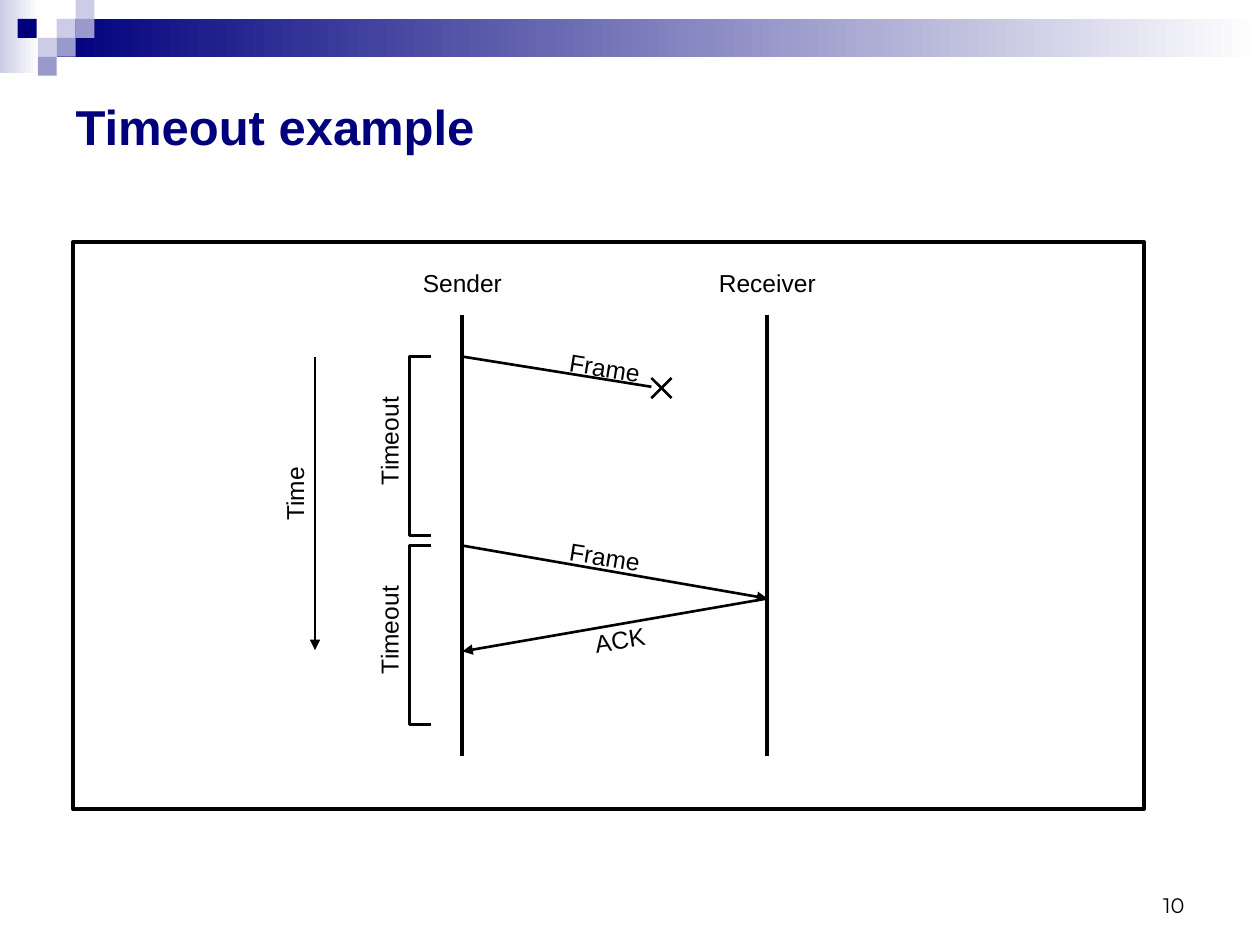
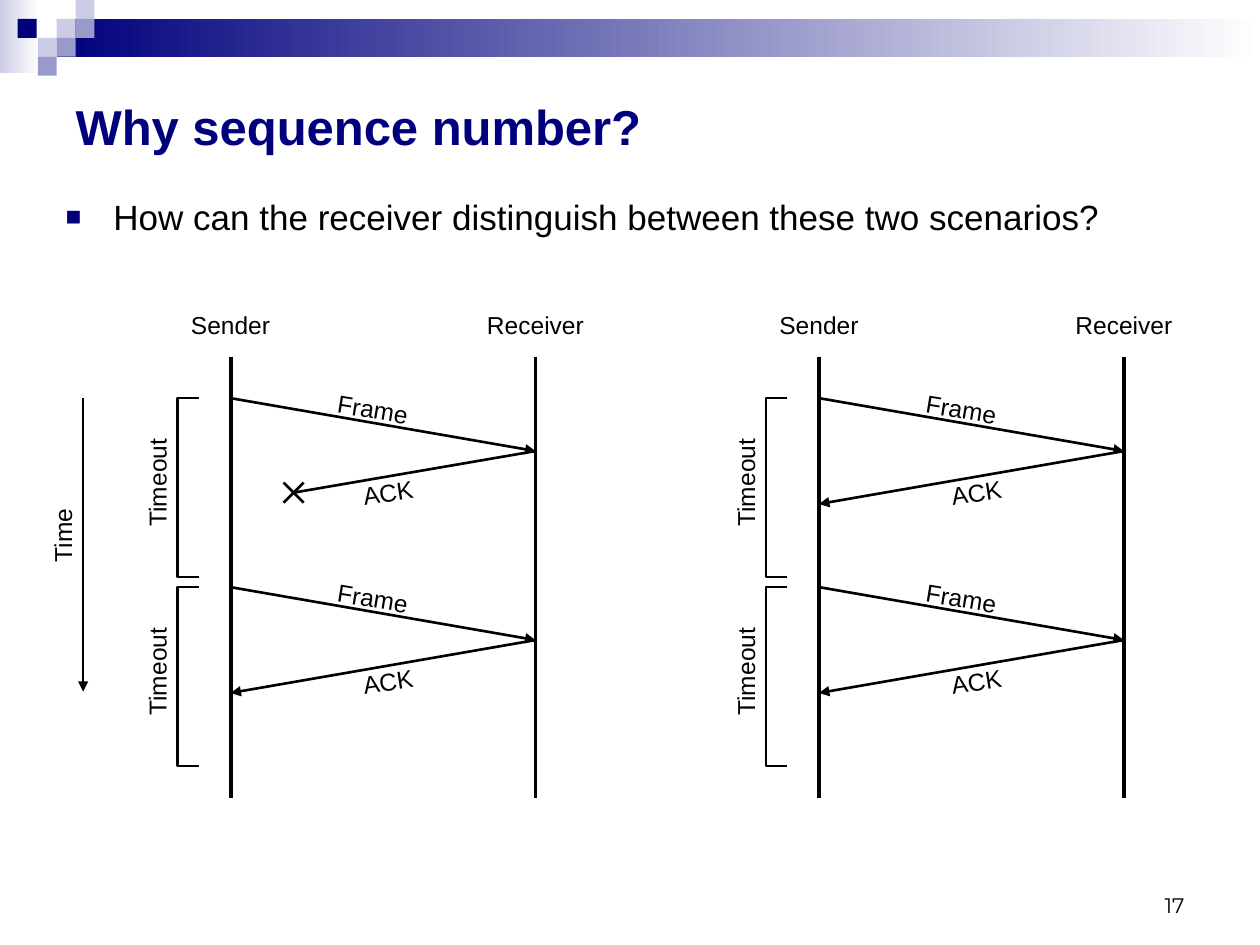
from lxml import etree
from pptx import Presentation
from pptx.dml.color import RGBColor
from pptx.enum.shapes import MSO_CONNECTOR, MSO_SHAPE
from pptx.enum.text import MSO_ANCHOR, MSO_AUTO_SIZE, PP_ALIGN
from pptx.oxml.ns import qn
from pptx.util import Inches, Pt

STRAIGHT = MSO_CONNECTOR.STRAIGHT
RECTANGLE = MSO_SHAPE.RECTANGLE
LEFT, CENTER, RIGHT = PP_ALIGN.LEFT, PP_ALIGN.CENTER, PP_ALIGN.RIGHT
TOP, MIDDLE, BOTTOM = MSO_ANCHOR.TOP, MSO_ANCHOR.MIDDLE, MSO_ANCHOR.BOTTOM
NO_AUTOFIT = MSO_AUTO_SIZE.NONE
TITLE_AND_CONTENT, TITLE_ONLY = 1, 5

COLORS = {
    "navy": "00007D",
    "violet": "9999CC",
    "lavender": "CCCCE6",
    "white": "FFFFFF",
    "black": "000000",
}
TITLE_FONT = {"name": "Arial", "size": Pt(28), "bold": True}
BODY_FONT = {"name": "Arial", "size": Pt(20)}
LABEL_FONT = {"name": "Arial", "size": Pt(14)}
NUMBER_FONT = {"name": "Montserrat", "size": Pt(12)}

THIN, THICK = 1.5, 2.25
TILE = 0.15
TILES = [
    (0.45, 0.15, "lavender"),
    (0.6, 0, "lavender"),
    (0.6, 0.15, "violet"),
    (0.3, 0.3, "lavender"),
    (0.14, 0.15, "navy"),
    (0.45, 0.3, "violet"),
    (0.3, 0.45, "violet"),
]

# Diagram measures, in inches
RECEIVER_GAP = 2.42
LIFELINE_LENGTH = 3.5
FIRST_SEND, SEND_STEP = 0.33, 1.5
ARRIVAL = 0.42
TIMEOUT_LENGTH = 1.42
LABEL_HEIGHT = 0.34


def rgb(color):
    return RGBColor.from_string(COLORS[color])


def write(frame, text, font, color="black", align=LEFT, anchor=TOP):
    """Put one formatted paragraph into a text frame and return it."""
    frame.word_wrap = True
    frame.auto_size = NO_AUTOFIT
    frame.vertical_anchor = anchor
    para = frame.paragraphs[0]
    para.alignment = align
    span = para.add_run()
    span.text = text
    for name, value in font.items():
        setattr(span.font, name, value)
    span.font.color.rgb = rgb(color)
    return para


def move(shape, left, top, width, height):
    places = {"left": left, "top": top, "width": width, "height": height}
    for name, value in places.items():
        setattr(shape, name, Inches(value))


def add_rectangle(page, left, top, width, height):
    box = page.shapes.add_shape(
        RECTANGLE, Inches(left), Inches(top), Inches(width), Inches(height))
    box.shadow.inherit = False
    box.line.fill.background()
    return box


def add_solid(page, left, top, width, height, color):
    box = add_rectangle(page, left, top, width, height)
    box.fill.solid()
    box.fill.fore_color.rgb = rgb(color)
    return box


def add_fade(page, left, top, width, height, color):
    """Add a band that fades to white from left to right."""
    band = add_rectangle(page, left, top, width, height)
    band.fill.gradient()
    band.fill.gradient_angle = 0
    for stop, name in zip(band.fill.gradient_stops, (color, "white")):
        stop.color.rgb = rgb(name)


def style_line(line, weight):
    line.color.rgb = rgb("black")
    line.width = Pt(weight)


def add_line(page, start, end, weight=THIN, arrow=False):
    line = page.shapes.add_connector(
        STRAIGHT, *(Inches(value) for value in (*start, *end)))
    style_line(line.line, weight)
    properties = line._element.spPr
    if arrow:
        outline = properties.find(qn("a:ln"))
        etree.SubElement(outline, qn("a:tailEnd"), type="triangle")
    etree.SubElement(properties, qn("a:effectLst"))


def add_label(page, text, left, top, width=1.5, rotation=0):
    label = page.shapes.add_textbox(
        Inches(left), Inches(top), Inches(width), Inches(LABEL_HEIGHT))
    label.rotation = rotation
    write(label.text_frame, text, LABEL_FONT, align=CENTER)


def add_page(deck, layout, title, number):
    page = deck.slides.add_slide(deck.slide_layouts[layout])
    add_fade(page, 0, 0, 0.31, 0.58, "lavender")
    add_fade(page, 0.45, 0.15, 9.55, 0.3, "navy")
    for left, top, color in TILES:
        add_solid(page, left, top, TILE, TILE, color)
    move(page.shapes.title, 0.5, 0.5, 9, 1)
    write(page.shapes.title.text_frame, title, TITLE_FONT, "navy", anchor=MIDDLE)
    box = page.shapes.add_textbox(
        Inches(7.17), Inches(6.83), Inches(2.33), Inches(0.5))
    write(box.text_frame, str(number), NUMBER_FONT, align=RIGHT, anchor=BOTTOM)
    return page


def add_bullet(page, text):
    body = page.placeholders[1]
    move(body, 0.42, 1.5, 9, 0.67)
    para = write(body.text_frame, text, BODY_FONT)
    para.space_before = Pt(5)
    properties = para._p.get_or_add_pPr()
    properties.set("marL", str(Inches(0.38)))
    properties.set("indent", str(-Inches(0.38)))
    color = etree.SubElement(properties, qn("a:buClr"))
    etree.SubElement(color, qn("a:srgbClr"), val=COLORS["navy"])
    etree.SubElement(properties, qn("a:buSzPct"), val="75000")
    etree.SubElement(properties, qn("a:buFont"), typeface="Arial")
    etree.SubElement(properties, qn("a:buChar"), char="■")


def add_cross(page, x, y, reach=0.08):
    """Mark a lost message with a cross centred on x, y."""
    for rise in (-reach, reach):
        add_line(page, (x - reach, y + rise), (x + reach, y - rise))


def add_lifelines(page, sender, top):
    for name, x in (("Sender", sender), ("Receiver", sender + RECEIVER_GAP)):
        add_line(page, (x, top), (x, top + LIFELINE_LENGTH), THICK)
        add_label(page, name, x - 0.75, top - 0.42)


def add_time_arrow(page, sender, top):
    x, y = sender - 1.17, top + FIRST_SEND
    add_line(page, (x, y), (x, y + 2.33), arrow=True)
    add_label(page, "Time", x - 0.91, y + 0.92, rotation=270)


def add_timeout(page, sender, y):
    near, far, end = sender - 0.25, sender - 0.42, y + TIMEOUT_LENGTH
    builder = page.shapes.build_freeform(Inches(near), Inches(y))
    corners = [(far, y), (far, end), (near, end)]
    builder.add_line_segments(
        [(Inches(x), Inches(height)) for x, height in corners], close=False)
    bracket = builder.convert_to_shape()
    bracket.shadow.inherit = False
    bracket.fill.background()
    style_line(bracket.line, THIN)
    add_label(page, "Timeout", sender - 1.33, y + 0.5, rotation=270)


def add_frame(page, sender, y, lost):
    if lost:
        add_line(page, (sender, y), (sender + 1.5, y + 0.24))
        add_cross(page, sender + 1.58, y + 0.25)
    else:
        add_line(page, (sender, y), (sender + RECEIVER_GAP, y + ARRIVAL), arrow=True)
    add_label(page, "Frame", sender + 0.42, y - 0.08, 1.42, 9.2)


def add_ack(page, sender, y, lost):
    start = (sender + RECEIVER_GAP, y + ARRIVAL)
    if lost:
        end = (sender + 0.5, y + 0.75)
        add_line(page, start, end)
        add_cross(page, *end)
    else:
        add_line(page, start, (sender, y + 2 * ARRIVAL), arrow=True)
    add_label(page, "ACK", sender + 0.5, y + 0.58, rotation=351.1)


def add_exchange(page, sender, top, lost=None):
    """Draw two sends; lost names the message that fails in the first."""
    add_lifelines(page, sender, top)
    for turn, failure in enumerate((lost, None)):
        y = top + FIRST_SEND + turn * SEND_STEP
        add_timeout(page, sender, y)
        add_frame(page, sender, y, failure == "Frame")
        if failure != "Frame":
            add_ack(page, sender, y, failure == "ACK")


def add_timeout_page(deck):
    page = add_page(deck, TITLE_ONLY, "Timeout example", 10)
    panel = add_solid(page, 0.58, 1.92, 8.5, 4.5, "white")
    style_line(panel.line, THICK)
    add_exchange(page, 3.67, 2.5, lost="Frame")
    add_time_arrow(page, 3.67, 2.5)


def add_sequence_page(deck):
    page = add_page(deck, TITLE_AND_CONTENT, "Why sequence number?", 17)
    add_bullet(
        page, "How can the receiver distinguish between these two scenarios?")
    add_exchange(page, 1.83, 2.83, lost="ACK")
    add_time_arrow(page, 1.83, 2.83)
    add_exchange(page, 6.5, 2.83)


def main():
    deck = Presentation()
    deck.slide_width, deck.slide_height = Inches(10), Inches(7.5)
    add_timeout_page(deck)
    add_sequence_page(deck)
    deck.save("out.pptx")


if __name__ == "__main__":
    main()
